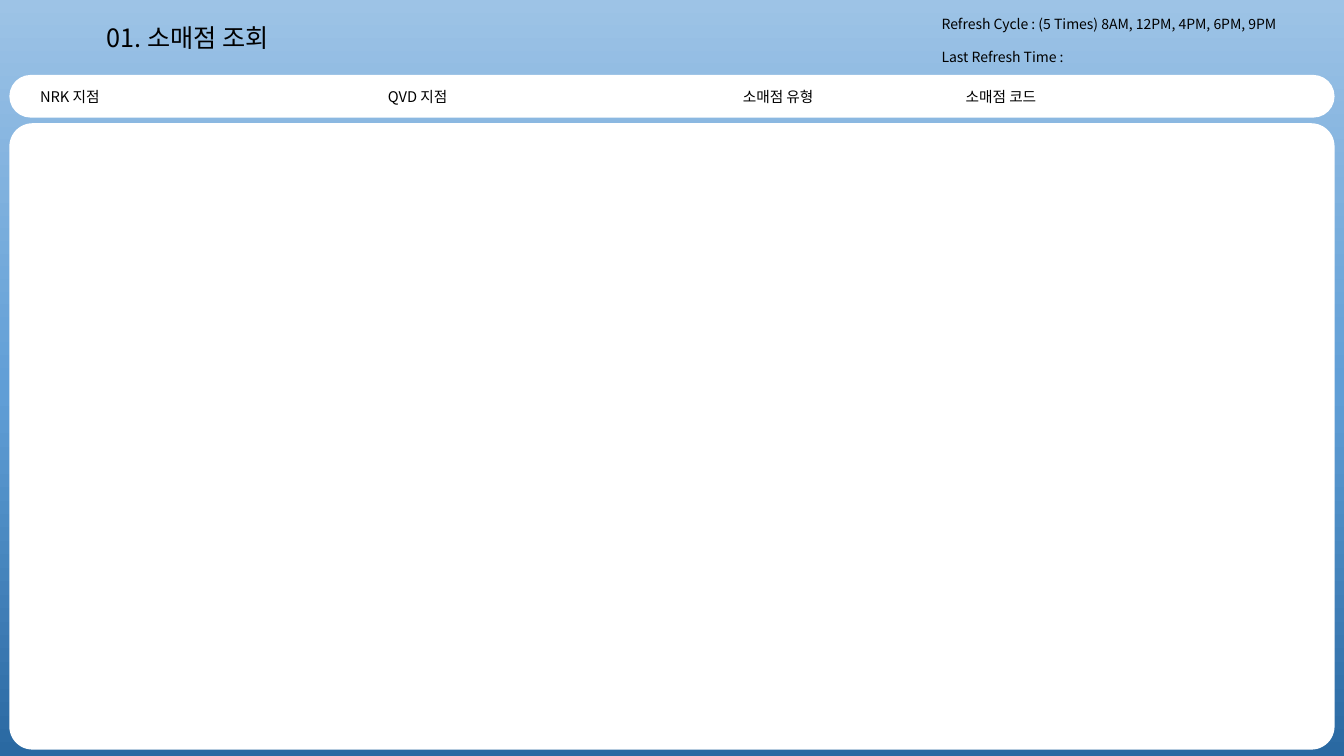
from copy import deepcopy

from lxml import etree
from pptx import Presentation
from pptx.dml.color import RGBColor
from pptx.enum.shapes import MSO_SHAPE
from pptx.enum.text import MSO_ANCHOR, MSO_AUTO_SIZE, PP_ALIGN
from pptx.oxml.ns import qn
from pptx.util import Inches, Pt

RECTANGLE = MSO_SHAPE.RECTANGLE
ROUNDED = MSO_SHAPE.ROUNDED_RECTANGLE
TOP = MSO_ANCHOR.TOP
LEFT = PP_ALIGN.LEFT
FIT_SHAPE = MSO_AUTO_SIZE.SHAPE_TO_FIT_TEXT

FONT = "Noto Sans CJK KR"
WIDTH, HEIGHT = 13.33, 7.5
MARGIN = 0.1
PANEL_WIDTH = WIDTH - 2 * MARGIN
TITLE_LAYOUT = 5
GRADIENT = [(0, "2A69A2"), (0.48, "609ED6"), (1, "9DC3E6")]
# Filter label, offset from the bar's left edge, width
FILTERS = [
    ("NRK 지점", 0.2, 0.9),
    ("QVD 지점", 3.65, 0.9),
    ("소매점 유형", 7.17, 1.12),
    ("소매점 코드", 9.38, 1.12),
]


def color(value):
    return RGBColor.from_string(value)


def place(shape, left, top, width, height):
    shape.left, shape.top = Inches(left), Inches(top)
    shape.width, shape.height = Inches(width), Inches(height)


def write_text(shape, lines, size):
    frame = shape.text_frame
    frame.text = "\n".join(lines)
    frame.word_wrap = True
    frame.auto_size = FIT_SHAPE
    frame.vertical_anchor = TOP
    for paragraph in frame.paragraphs:
        paragraph.alignment = LEFT
        font = paragraph.font
        font.name, font.size = FONT, Pt(size)
        font.color.rgb = color("000000")
        # Hangul takes the East Asian typeface
        properties = paragraph.runs[0].font
        properties.name, properties.size = FONT, Pt(size)
        run_properties = paragraph.runs[0]._r.get_or_add_rPr()
        etree.SubElement(run_properties, qn("a:ea"), typeface=FONT)


def add_text(slide, left, top, width, height, lines, size):
    box = slide.shapes.add_textbox(0, 0, 0, 0)
    write_text(box, lines, size)
    place(box, left, top, width, height)


def add_backdrop(slide, left, top, width, height):
    backdrop = slide.shapes.add_shape(RECTANGLE, 0, 0, 0, 0)
    place(backdrop, left, top, width, height)
    backdrop.shadow.inherit = False
    backdrop.line.fill.background()
    fill = backdrop.fill
    fill.gradient()
    fill.gradient_angle = 90
    # The default gradient has two stops; a third is needed
    stop_list = backdrop._element.spPr.find(".//" + qn("a:gsLst"))
    stop_list.append(deepcopy(stop_list[0]))
    for stop, (position, value) in zip(fill.gradient_stops, GRADIENT):
        stop.position = position
        stop.color.rgb = color(value)


def add_panel(slide, left, top, width, height, rounding):
    panel = slide.shapes.add_shape(ROUNDED, 0, 0, 0, 0)
    place(panel, left, top, width, height)
    panel.adjustments[0] = rounding
    panel.shadow.inherit = False
    panel.fill.solid()
    panel.fill.fore_color.rgb = color("FFFFFF")
    panel.line.color.rgb = color("FFFFFF")
    panel.line.width = Pt(1)


def add_header(slide, left, top):
    refresh = ["Refresh Cycle : (5 Times) 8AM, 12PM, 4PM, 6PM, 9PM",
               "Last Refresh Time :"]
    add_text(slide, left + 9.24, top + 0.1, 3.99, 0.55, refresh, 10)
    slide.shapes[-1].text_frame.paragraphs[1].line_spacing = 2.0
    title = slide.shapes.title
    write_text(title, ["01. 소매점 조회"], 18)
    place(title, left + 0.96, top + 0.17, 2.41, 0.4)
    # Bring the title in front of the backdrop
    slide.shapes._spTree.append(title._element)


def add_filter_bar(slide, left, top, width, height):
    add_panel(slide, left, top, width, height, 0.5)
    for label, offset, label_width in FILTERS:
        add_text(slide, left + offset, top + 0.07, label_width, 0.28,
                 [label], 10.5)


def main():
    presentation = Presentation()
    presentation.slide_width = Inches(WIDTH)
    presentation.slide_height = Inches(HEIGHT)
    layout = presentation.slide_layouts[TITLE_LAYOUT]
    slide = presentation.slides.add_slide(layout)

    add_backdrop(slide, 0, 0, WIDTH, HEIGHT)
    # Empty content area
    add_panel(slide, MARGIN, 1.23, PANEL_WIDTH, 6.2, 0.036)
    add_filter_bar(slide, MARGIN, 0.75, PANEL_WIDTH, 0.41)
    add_header(slide, 0, 0)
    presentation.save("out.pptx")


if __name__ == "__main__":
    main()
